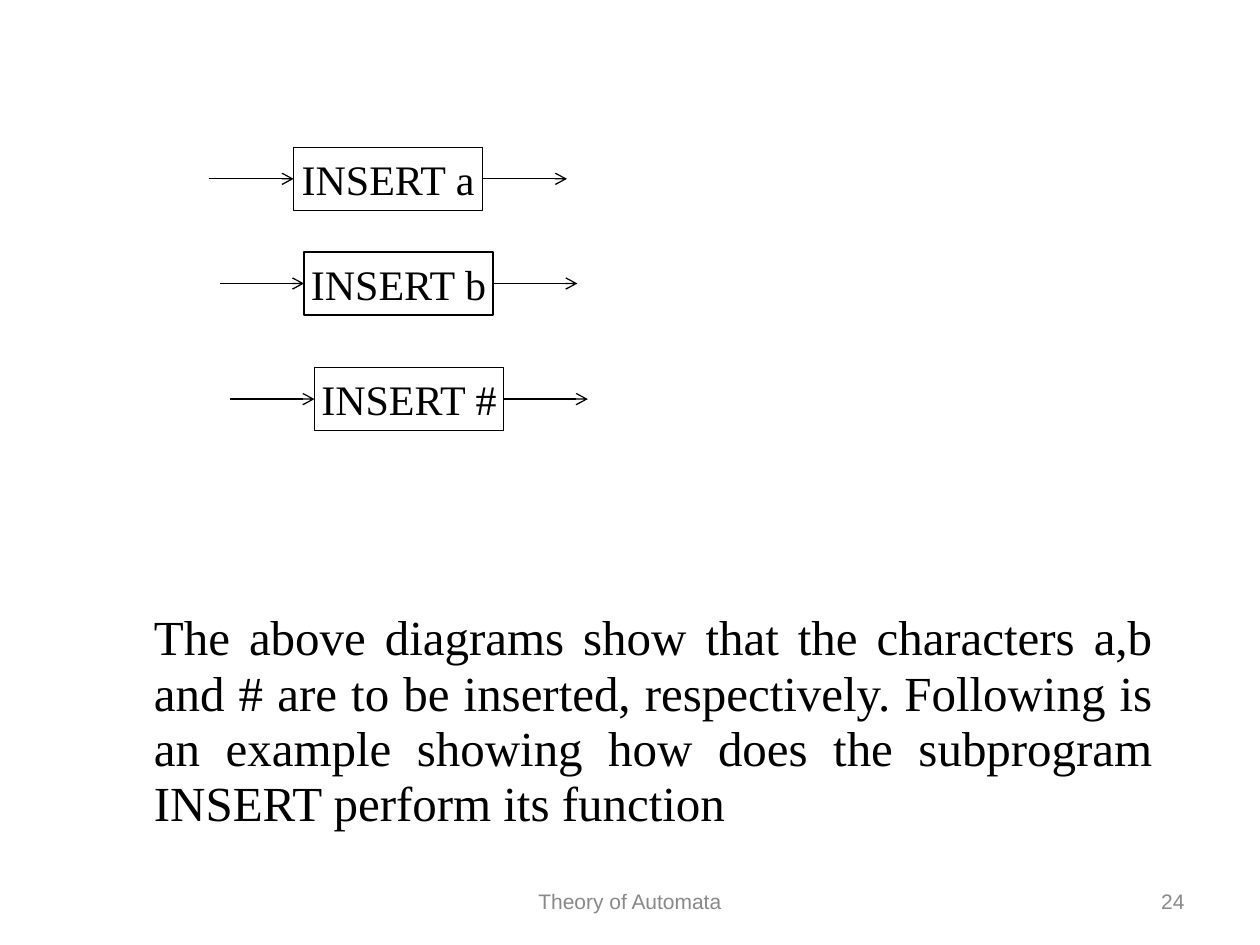
from dataclasses import dataclass
from lxml import etree
from pptx import Presentation
from pptx import util as u
from pptx.dml.color import RGBColor
from pptx.enum import shapes, text
from pptx.oxml import ns


@dataclass(frozen=True)
class Theme:
    ink: RGBColor = RGBColor(0, 0, 0)
    muted: RGBColor = RGBColor(0x89, 0x89, 0x89)
    serif: str = "Times New Roman"
    sans: str = "Arial"
    body_size: int = 28
    box_size: int = 24
    footer_size: int = 12
    line_width: float = 0.75


THEME = Theme()


def format_paragraph(paragraph, alignment, font_name, size, color):
    paragraph.alignment = alignment
    for run in paragraph.runs:
        run.font.name = font_name
        run.font.size = u.Pt(size)
        run.font.color.rgb = color


def style_line(line):
    line.color.rgb = THEME.ink
    line.width = u.Pt(THEME.line_width)


def add_arrow(group, begin_x, end_x, y):
    arrow = group.shapes.add_connector(shapes.MSO_CONNECTOR.STRAIGHT, begin_x, y, end_x, y)
    style_line(arrow.line)
    etree.SubElement(arrow.line._get_or_add_ln(), ns.qn("a:tailEnd"), type="arrow")
    etree.SubElement(arrow._element.spPr, ns.qn("a:effectLst"))
    return arrow


def add_insert_state(slide, label, left, top, width, height):
    """A labelled box with one arrow entering and one leaving."""
    group = slide.shapes.add_group_shape()
    box = group.shapes.add_shape(shapes.MSO_SHAPE.RECTANGLE, left, top, width, height)
    box.shadow.inherit = False
    box.fill.background()
    style_line(box.line)
    frame = box.text_frame
    frame.text = label
    frame.word_wrap = False
    frame.vertical_anchor = text.MSO_ANCHOR.MIDDLE
    format_paragraph(frame.paragraphs[0], text.PP_ALIGN.CENTER,
                     THEME.serif, THEME.box_size, THEME.ink)

    reach, middle = u.Cm(1.7), top + height // 2
    add_arrow(group, left - reach, left, middle).end_connect(box, 1)
    add_arrow(group, left + width, left + width + reach, middle).begin_connect(box, 3)


def add_explanation(slide, content, left, top, width, height):
    body = slide.placeholders[1]
    body.left, body.top, body.width, body.height = left, top, width, height
    frame = body.text_frame
    frame.text = content
    frame.auto_size = text.MSO_AUTO_SIZE.NONE
    paragraph = frame.paragraphs[0]
    format_paragraph(paragraph, text.PP_ALIGN.JUSTIFY,
                     THEME.serif, THEME.body_size, THEME.ink)
    paragraph.line_spacing = 0.94
    paragraph.space_before = u.Pt(0)
    properties = paragraph._p.get_or_add_pPr()
    properties.set("marL", str(u.Cm(0.95)))
    properties.set("indent", "0")
    etree.SubElement(properties, ns.qn("a:buNone"))


def add_footer(slide, content, alignment, left, top, width, height):
    footer = slide.shapes.add_textbox(left, top, width, height)
    frame = footer.text_frame
    frame.text = content
    frame.word_wrap = True
    frame.vertical_anchor = text.MSO_ANCHOR.MIDDLE
    format_paragraph(frame.paragraphs[0], alignment,
                     THEME.sans, THEME.footer_size, THEME.muted)


def main():
    presentation = Presentation()
    presentation.slide_width, presentation.slide_height = u.Cm(25.4), u.Cm(19.05)
    slide = presentation.slides.add_slide(presentation.slide_layouts[1])
    title = slide.shapes.title._element
    title.getparent().remove(title)

    # Insert states, each stepped a little to the right
    states = [("INSERT a", 2.97), ("INSERT b", 5.08), ("INSERT #", 7.41)]
    for index, (label, top) in enumerate(states):
        add_insert_state(slide, label, u.Cm(5.92 + 0.21 * index), u.Cm(top),
                         u.Cm(3.81), u.Cm(1.27))

    # Explanation
    add_explanation(
        slide,
        "The above diagrams show that the characters a,b and # are to be inserted, "
        "respectively. Following is an example showing how does the subprogram "
        "INSERT perform its function",
        u.Cm(1.9), u.Cm(12.2), u.Cm(21.59), u.Cm(4.74))

    # Footer and slide number
    footer_top, footer_height = u.Cm(17.65), u.Cm(1.02)
    add_footer(slide, "24", text.PP_ALIGN.RIGHT,
               u.Cm(18.2), footer_top, u.Cm(5.93), footer_height)
    add_footer(slide, "Theory of Automata", text.PP_ALIGN.CENTER,
               u.Cm(8.68), footer_top, u.Cm(8.04), footer_height)

    presentation.save("out.pptx")


if __name__ == "__main__":
    main()
